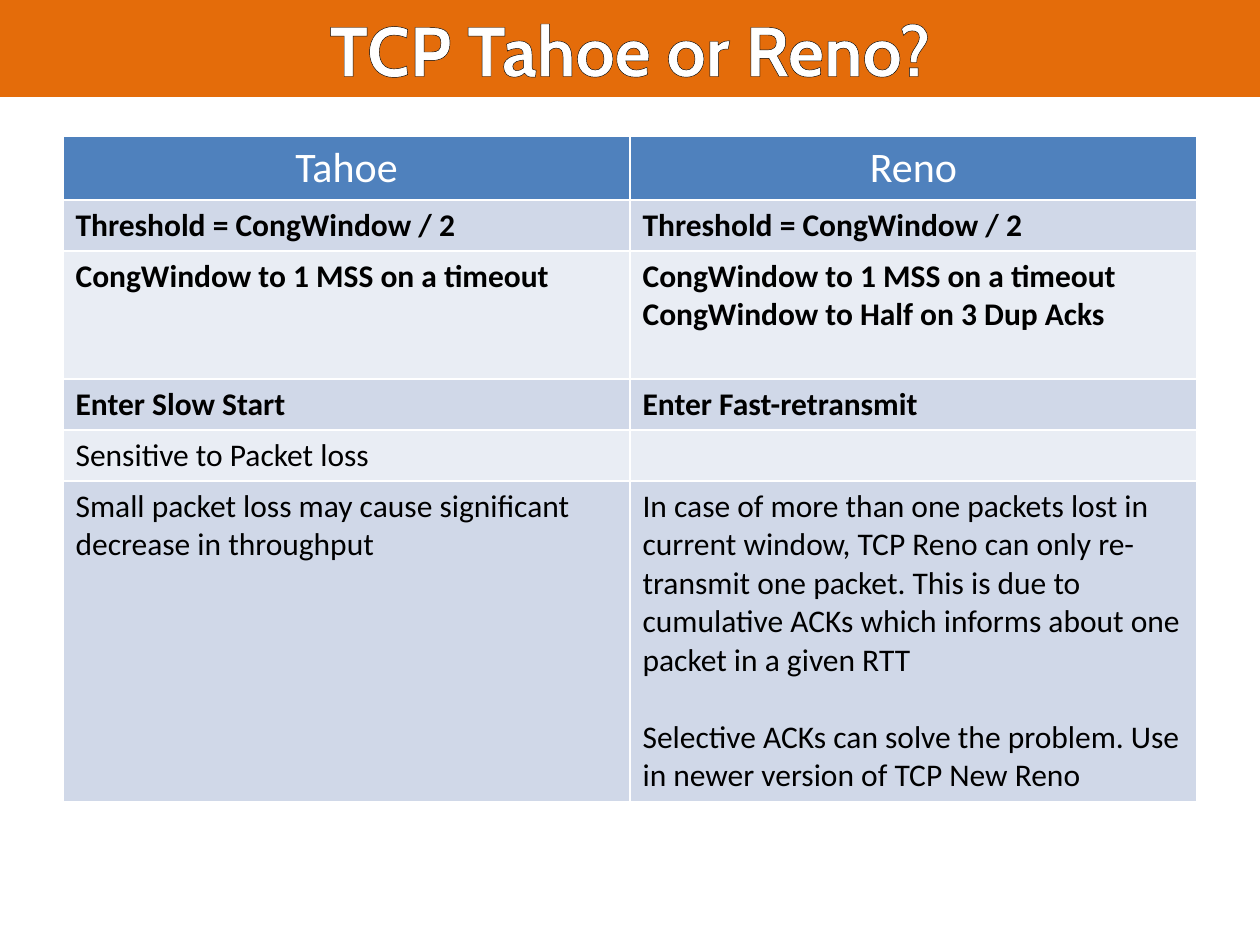
from lxml import etree
from pptx import Presentation
from pptx.dml.color import RGBColor
from pptx.enum.text import MSO_ANCHOR, MSO_AUTO_SIZE, PP_ALIGN
from pptx.oxml.ns import qn
from pptx.util import Pt

CENTER, LEFT = PP_ALIGN.CENTER, PP_ALIGN.LEFT
MIDDLE, FIXED = MSO_ANCHOR.MIDDLE, MSO_AUTO_SIZE.NONE

# Content: each row is (height, bold, space between paragraphs, cells)
TITLE = "TCP Tahoe or Reno?"
HEADS = ["Tahoe", "Reno"]
ROWS = [
    (29.2, True, 0, [["Threshold = CongWindow / 2"],
                     ["Threshold = CongWindow / 2"]]),
    (73.1, True, 0, [["CongWindow to 1 MSS on a timeout"],
                     ["CongWindow to 1 MSS on a timeout",
                      "CongWindow to Half on 3 Dup Acks"]]),
    (29.2, True, 0, [["Enter Slow Start"], ["Enter Fast-retransmit"]]),
    (29.2, False, 0, [["Sensitive to Packet loss"], [""]]),
    (182.7, False, 22, [
        ["Small packet loss may cause significant decrease in throughput"],
        ["In case of more than one packets lost in current window, TCP Reno "
         "can only re-transmit one packet. This is due to cumulative ACKs "
         "which informs about one packet in a given RTT",
         "Selective ACKs can solve the problem. Use in newer version of "
         "TCP New Reno"]]),
]
BANDS = ["D0D8E8", "E9EDF4"]
WIDE, HIGH, BAR = 720, 540, 55.44
LEFT_X, TOP_Y, COL, HEAD = 36, 77.76, 324, 36


def paint(fill, color):
    fill.solid()
    fill.fore_color.rgb = RGBColor.from_string(color)


def style(para, size, face, color, bold, align):
    para.alignment = align
    font = para.font
    font.size, font.name, font.bold = Pt(size), face, bold
    paint(font.fill, color)


def stroke(tag, width, color):
    line = etree.Element(qn(tag), w=str(Pt(width)))
    fill = etree.SubElement(line, qn("a:solidFill"))
    etree.SubElement(fill, qn("a:srgbClr"), val=color)
    return line


def fill_cell(cell, texts, fill, size, color, bold, align, gap=0):
    props = cell._tc.get_or_add_tcPr()
    for side in "LRTB":
        props.append(stroke(f"a:ln{side}", 1, "FFFFFF"))
    paint(cell.fill, fill)
    frame = cell.text_frame
    frame.text = "\n".join(texts)
    for i, para in enumerate(frame.paragraphs):
        style(para, size, "Calibri", color, bold, align)
        para.space_before = Pt(gap if i else 0)


deck = Presentation()
deck.slide_width, deck.slide_height = Pt(WIDE), Pt(HIGH)
slide = deck.slides.add_slide(deck.slide_layouts[5])

# Comparison table
high = HEAD + sum(row[0] for row in ROWS)
table = slide.shapes.add_table(len(ROWS) + 1, len(HEADS), Pt(LEFT_X), Pt(TOP_Y),
                               Pt(COL * len(HEADS)), Pt(high)).table
table.rows[0].height = Pt(HEAD)
for c, head in enumerate(HEADS):
    table.columns[c].width = Pt(COL)
    fill_cell(table.cell(0, c), [head], "4F81BD", 24, "FFFFFF", False, CENTER)
for r, (tall, bold, gap, cells) in enumerate(ROWS, 1):
    table.rows[r].height = Pt(tall)
    for c, texts in enumerate(cells):
        fill_cell(table.cell(r, c), texts, BANDS[(r - 1) % 2], 18, "000000",
                  bold, LEFT, gap)

# Title bar with outlined letters
title = slide.shapes.title
title.left, title.top, title.width, title.height = 0, 0, Pt(WIDE), Pt(BAR)
paint(title.fill, "E46C0A")
frame = title.text_frame
frame.text = TITLE
frame.auto_size, frame.vertical_anchor = FIXED, MIDDLE
para = frame.paragraphs[0]
style(para, 40, "Cabin", "FFFFFF", True, CENTER)
para.runs[0].font._element.insert(0, stroke("a:ln", 0.75, "000000"))

deck.save("out.pptx")
